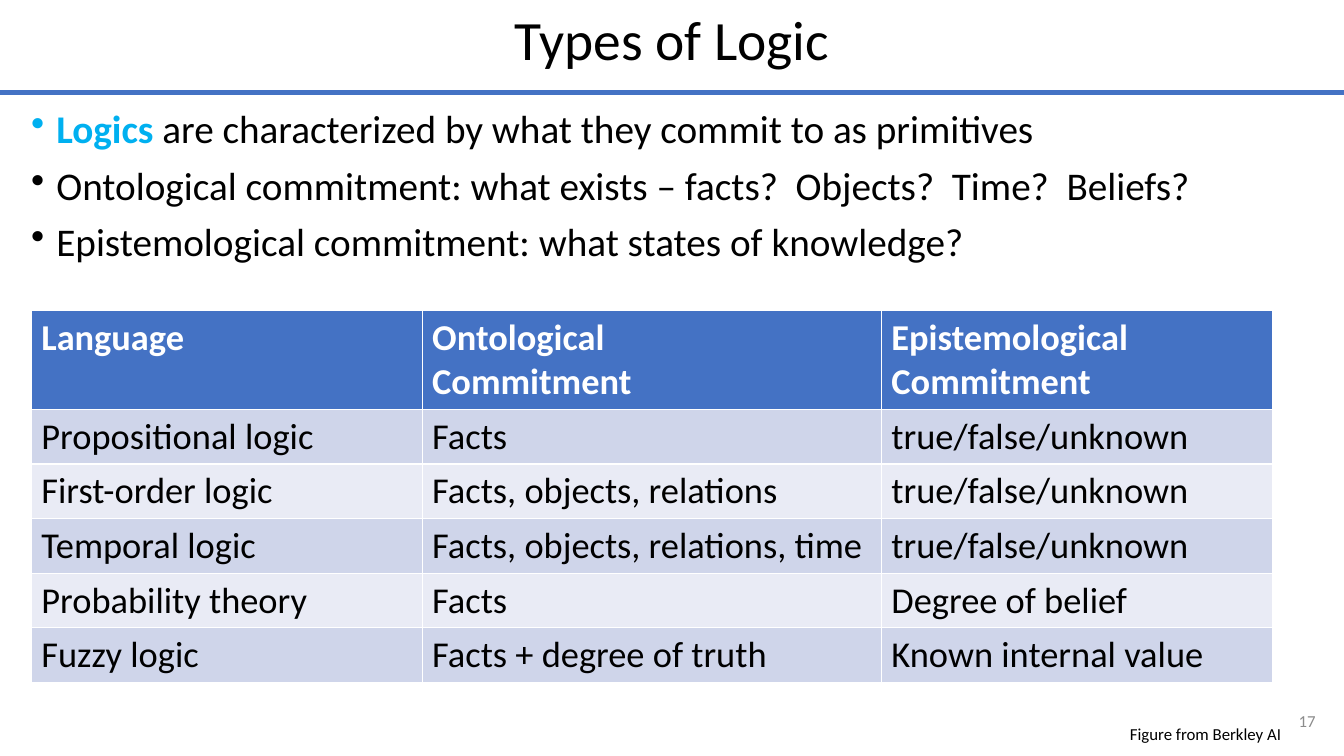
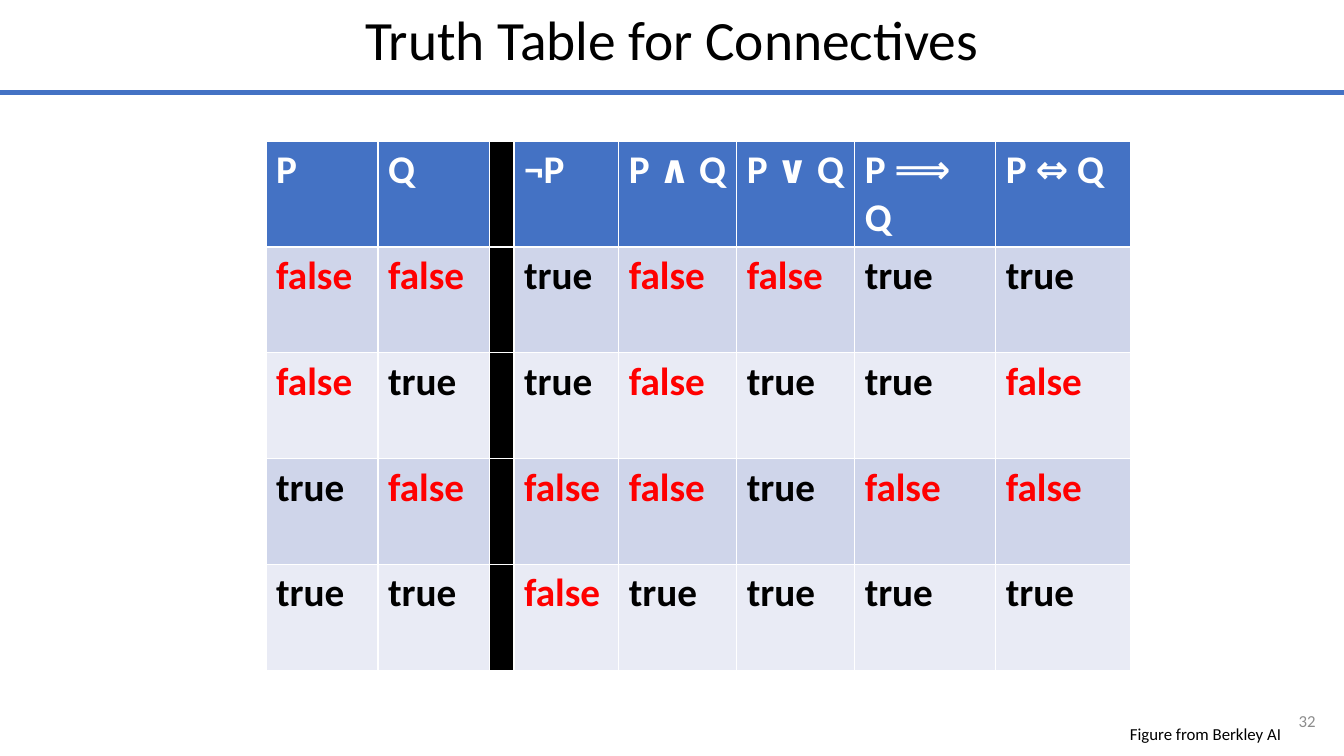
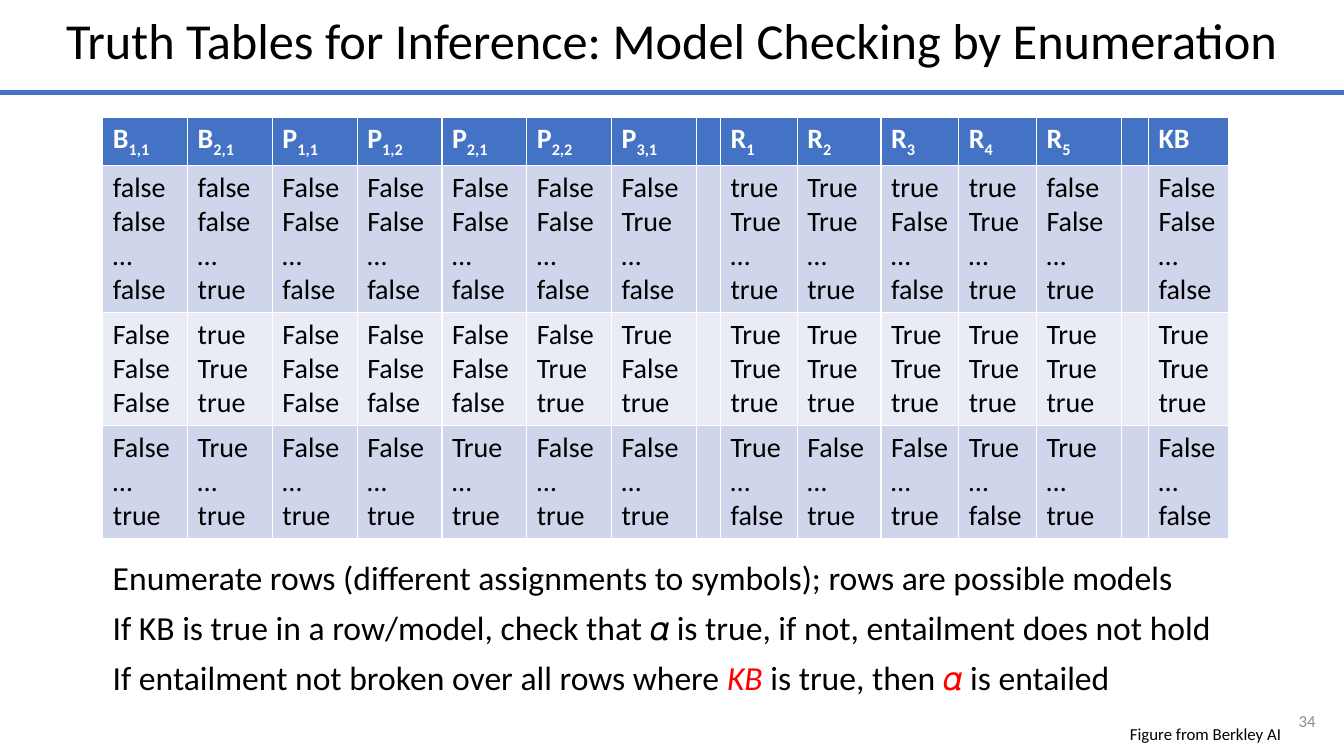
import pptx
import pptx.util
import pptx.dml.color
import pptx.enum.shapes
import pptx.enum.text
import pptx.oxml
import pptx.oxml.ns
from lxml import etree

Pt = pptx.util.Pt
ALIGN = pptx.enum.text.PP_ALIGN
ANCHOR = pptx.enum.text.MSO_ANCHOR

FONT = "Calibri"
COLORS = {
    "text": "000000", "header": "4472C4", "header_text": "FFFFFF",
    "band_dark": "CFD5EA", "band_light": "E9EBF5", "divider": "000000",
    "accent": "00B0F0", "red": "FF0000", "number": "8C8C8C",
}

prs = pptx.Presentation()
prs.slide_width = pptx.util.Inches(13.33)
prs.slide_height = pptx.util.Inches(7.5)


def grid(x, y, w, h):
    """Turn columns and rows of a 100 x 100 slide grid into lengths."""
    col, row = prs.slide_width / 100, prs.slide_height / 100
    return [round(v) for v in (x * col, y * row, w * col, h * row)]


def rgb(name):
    return pptx.dml.color.RGBColor.from_string(COLORS[name])


def add_run(p, text, size, color="text", bold=False, italic=False, sub=False):
    r = p.add_run()
    r.text = text
    f = r.font
    f.name, f.size, f.bold, f.italic = FONT, Pt(size), bold, italic
    f.color.rgb = rgb(color)
    if sub:
        r._r.get_or_add_rPr().set("baseline", "-25000")


def add_bullet(p):
    pPr = p._p.get_or_add_pPr()
    indent = pptx.util.Inches(0.25)
    pPr.set("marL", str(indent))
    pPr.set("indent", str(-indent))
    bullet = etree.SubElement(pPr, pptx.oxml.ns.qn("a:buChar"))
    bullet.set("char", "•")


def add_text(slide, box, paragraphs, size, align=ALIGN.LEFT,
             anchor=ANCHOR.TOP, spacing=0.9, bullets=False):
    """Each paragraph is a list of (text, run options)."""
    tf = slide.shapes.add_textbox(*grid(*box)).text_frame
    tf.word_wrap = True
    tf.vertical_anchor = anchor
    for i, runs in enumerate(paragraphs):
        p = tf.add_paragraph() if i else tf.paragraphs[0]
        if bullets:
            add_bullet(p)
        p.alignment, p.line_spacing = align, spacing
        if i:
            p.space_before = Pt(10)
        for text, options in runs:
            add_run(p, text, size, **options)


def add_frame(title, number, title_size=39.6):
    """New slide with its title, rule, source note and number."""
    slide = prs.slides.add_slide(prs.slide_layouts[6])
    add_text(slide, (0, 1.2, 100, 8.93), [[(title, {})]], title_size,
             ALIGN.CENTER, ANCHOR.MIDDLE)
    x, y, w, _ = grid(0, 12.27, 100, 0)
    rule = slide.shapes.add_connector(
        pptx.enum.shapes.MSO_CONNECTOR.STRAIGHT, x, y, x + w, y)
    rule.line.color.rgb = rgb("header")
    rule.line.width = Pt(3.75)
    etree.SubElement(rule._element.spPr, pptx.oxml.ns.qn("a:effectLst"))
    add_text(slide, (81.22, 95.33, 14.85, 3.6),
             [[("Figure from Berkley AI", {})]], 12, ALIGN.RIGHT)
    add_text(slide, (93.53, 92.67, 5.1, 5.33),
             [[(number, {"color": "number"})]], 12, ALIGN.RIGHT,
             ANCHOR.MIDDLE, spacing=1)
    return slide


def add_grid_table(slide, box, rows, col_shares, row_shares, size,
                   bold=False, false_color="text", dividers=()):
    """Cells hold lines of text; "_" in a header starts a subscript."""
    x, y, w, h = grid(*box)
    table = slide.shapes.add_table(
        len(rows), len(col_shares), x, y, w, h).table
    for col, share in zip(table.columns, col_shares):
        col.width = round(w * share / sum(col_shares))
    for row, share in zip(table.rows, row_shares):
        row.height = round(h * share / sum(row_shares))

    for i, row in enumerate(rows):
        band = "band_dark" if i % 2 else "band_light"
        for j, text in enumerate(row):
            cell = table.cell(i, j)
            cell.fill.solid()
            fill = "divider" if j in dividers else band if i else "header"
            cell.fill.fore_color.rgb = rgb(fill)
            if not text:
                continue
            for k, line in enumerate(text.split("\n")):
                tf = cell.text_frame
                p = tf.add_paragraph() if k else tf.paragraphs[0]
                if i:
                    color = false_color if line == "false" else "text"
                    add_run(p, line, size, color, bold)
                else:
                    base, _, index = line.partition("_")
                    add_run(p, base, size, "header_text", True)
                    if index:
                        add_run(p, index, size, "header_text", True, sub=True)


def types_slide():
    slide = add_frame("Types of Logic", "17")
    add_text(slide, (1.58, 13.87, 96.08, 27.2), [
        [("Logics", {"color": "accent", "bold": True}),
         (" are characterized by what they commit to as primitives", {})],
        [("Ontological commitment: what exists – facts?  Objects?  Time?  Beliefs?", {})],
        [("Epistemological commitment: what states of knowledge?", {})],
    ], 28, bullets=True)
    rows = [
        ("Language", "Ontological\nCommitment", "Epistemological\nCommitment"),
        ("Propositional logic", "Facts", "true/false/unknown"),
        ("First-order logic", "Facts, objects, relations", "true/false/unknown"),
        ("Temporal logic", "Facts, objects, relations, time", "true/false/unknown"),
        ("Probability theory", "Facts", "Degree of belief"),
        ("Fuzzy logic", "Facts + degree of truth", "Known internal value"),
    ]
    add_grid_table(slide, (2.33, 41.07, 92.33, 49.2), rows,
                   [3.88, 4.56, 3.88], [0.98] + [0.54] * 5, 26)


def connectives_slide():
    slide = add_frame("Truth Table for Connectives", "32")
    rows = [("P", "Q", "", "¬P", "P ∧ Q", "P ∨ Q", "P ⟹ Q", "P ⇔ Q")]
    for p in (False, True):
        for q in (False, True):
            values = (p, q, None, not p, p and q, p or q, not p or q, p == q)
            rows.append(["" if v is None else str(v).lower() for v in values])
    add_grid_table(slide, (19.8, 18.67, 64.28, 70), rows,
                   [1.11, 1.11, 0.23, 1.04, 1.17, 1.17, 1.4, 1.34], [1] * 5,
                   28, bold=True, false_color="red", dividers=(2,))


def inference_slide():
    slide = add_frame(
        "Truth Tables for Inference: Model Checking by Enumeration", "34", 36)
    # One line per model; "|" marks an empty column
    dots = "… … … … … … … | … … … … … | …"
    blocks = [
        ["B_1,1 B_2,1 P_1,1 P_1,2 P_2,1 P_2,2 P_3,1 | R_1 R_2 R_3 R_4 R_5 | KB"],
        ["false false False False False False False | true True true true false | False",
         "false false False False False False True | True True False True False | False",
         dots,
         "false true false false false false false | true true false true true | false"],
        ["False true False False False False True | True True True True True | True",
         "False True False False False True False | True True True True True | True",
         "False true False false false true true | true true true true true | true"],
        ["False True False False True False False | True False False True True | False",
         dots,
         "true true true true true true true | false true true false true | false"],
    ]
    rows = [["" if "|" in column else "\n".join(column)
             for column in zip(*(line.split() for line in block))]
            for block in blocks]
    add_grid_table(slide, (7.65, 15.47, 83.7, 55.6), rows,
                   [0.84] * 7 + [0.23, 0.76, 0.83, 0.77, 0.77, 0.84, 0.27, 0.79],
                   [0.47, 1.46, 1.12, 1.12], 20)
    red = {"color": "red", "italic": True}
    add_text(slide, (7.65, 73.6, 90.23, 19.2), [
        [("Enumerate rows (different assignments to symbols); rows are possible models", {})],
        [("If KB is true in a row/model, check that 𝛼 is true, if not, entailment does not hold", {})],
        [("If entailment not broken over all rows where ", {}), ("KB", red),
         (" is true, then ", {}), ("𝛼", {"color": "red"}), (" is entailed", {})],
    ], 24)


def main():
    types_slide()
    connectives_slide()
    inference_slide()
    prs.save("out.pptx")


if __name__ == "__main__":
    main()
